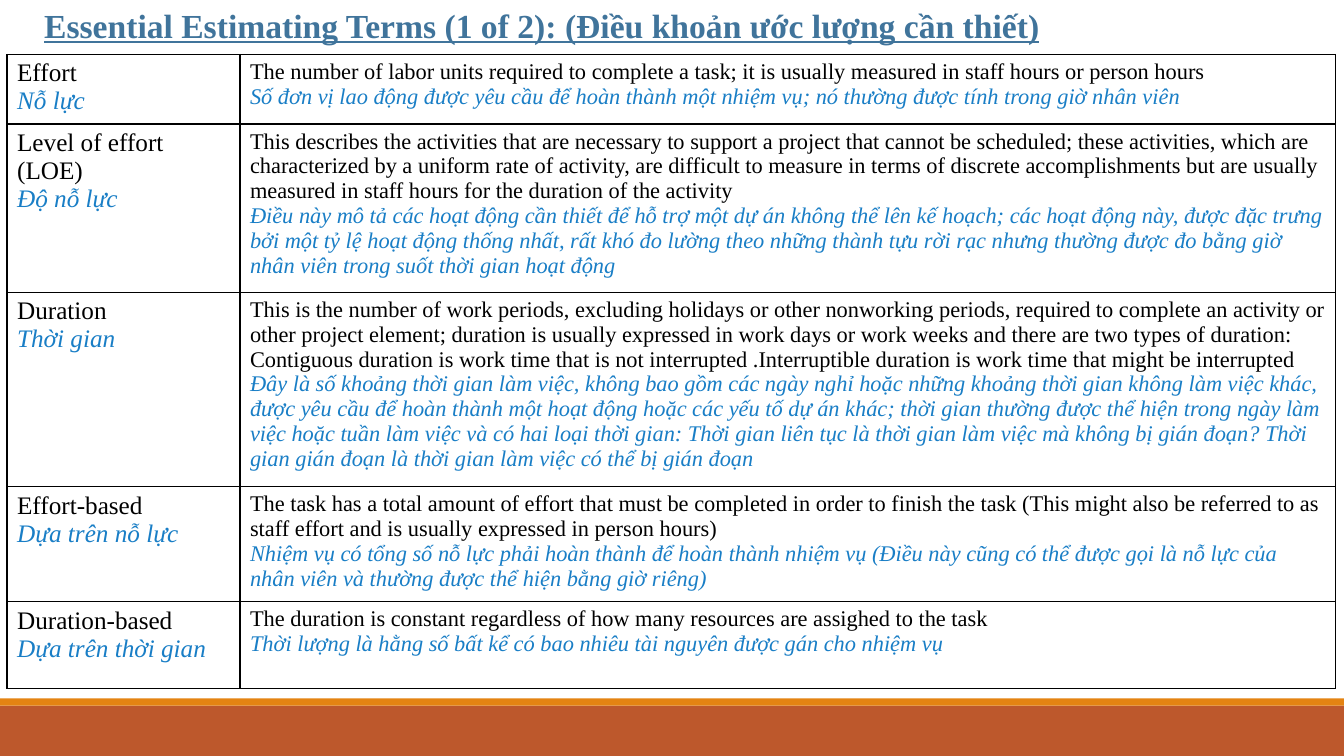
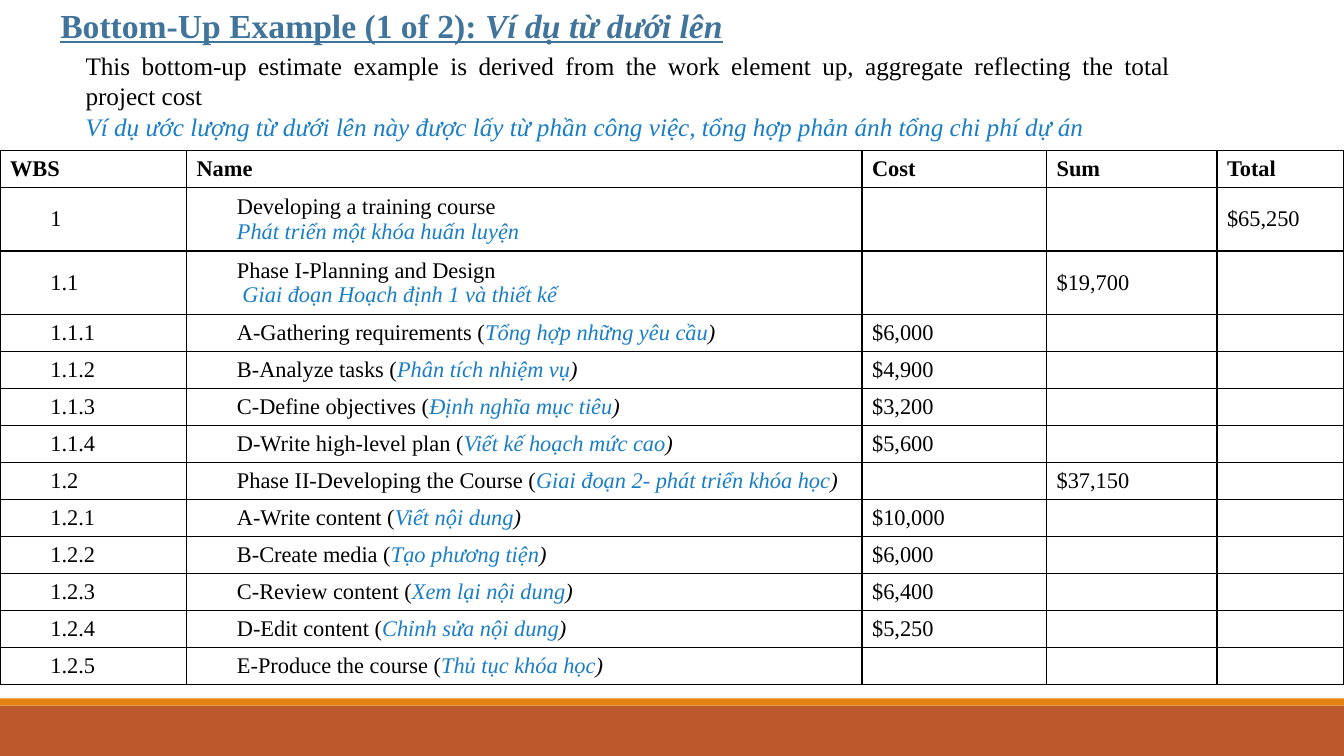
from dataclasses import dataclass
from typing import NamedTuple

from lxml.etree import SubElement as Sub, Element
from pptx import Presentation
from pptx.dml.color import RGBColor as Rgb
from pptx.enum.shapes import MSO_SHAPE as Shape
from pptx.enum.text import MSO_ANCHOR as Anchor, PP_ALIGN as Align
from pptx.oxml.ns import qn
from pptx.util import Inches, Pt

FONT = "Times New Roman"
HUES = {
    "text": "000000",
    "viet": "197EC6",
    "title": "40749B",
    "rust": "BD582C",
    "amber": "E48312",
}
WIDE, HIGH = 13.33, 7.5


class Bit(NamedTuple):
    """A piece of text in one style."""
    text: str
    hue: str = "text"
    slant: bool = False
    bold: bool = False
    under: bool = False


class Box(NamedTuple):
    left: float
    top: float
    width: float
    height: float


class Term(NamedTuple):
    name: str
    viet: str
    means: str
    gloss: str


class Task(NamedTuple):
    code: str
    name: str
    viet: str
    cost: str = ""
    sum: str = ""
    total: str = ""
    split: bool = False


Para = list[Bit]


@dataclass
class Cell:
    paras: list[Para]
    size: int = 16
    inset: float = 0.1
    anchor: Anchor = Anchor.TOP


def viet(text: str) -> Bit:
    return Bit(text, "viet", True)


def head(text: str, slant: bool = False) -> Bit:
    return Bit(text, "title", slant, True, True)


def write(frame, paras: list[Para], size: int) -> None:
    """Fill a text frame, one paragraph for each list of bits."""
    for i, bits in enumerate(paras):
        para = frame.add_paragraph() if i else frame.paragraphs[0]
        for bit in bits:
            for j, part in enumerate(bit.text.split("\n")):
                if j:
                    para.add_line_break()
                run = para.add_run()
                run.text = part
                font = run.font
                font.name, font.size = FONT, Pt(size)
                font.bold, font.italic = bit.bold, bit.slant
                font.underline = bit.under
                font.color.rgb = Rgb.from_string(HUES[bit.hue])


def label(slide, box: Box, paras: list[Para], size: int):
    frame = slide.shapes.add_textbox(*map(Inches, box)).text_frame
    frame.word_wrap = True
    write(frame, paras, size)
    return frame


def edge(cell) -> None:
    """Give a cell thin black borders."""
    props = cell._tc.get_or_add_tcPr()
    for i, side in enumerate(("lnL", "lnR", "lnT", "lnB")):
        line = Element(qn(f"a:{side}"), w=str(Pt(1)))
        fill = Sub(line, qn("a:solidFill"))
        Sub(fill, qn("a:srgbClr"), val=HUES["text"])
        props.insert(i, line)


def grid(slide, left: float, top: float, cols: list[float],
         rows: list[float], cells: list[list[Cell]]) -> None:
    box = Box(left, top, sum(cols), sum(rows))
    table = slide.shapes.add_table(len(rows), len(cols), *map(Inches, box)).table
    table.first_row = table.horz_banding = False
    for col, width in zip(table.columns, cols):
        col.width = Inches(width)
    for row, height, line in zip(table.rows, rows, cells):
        row.height = Inches(height)
        for cell, data in zip(row.cells, line):
            cell.fill.background()
            edge(cell)
            cell.margin_left = Inches(data.inset)
            cell.vertical_anchor = data.anchor
            write(cell.text_frame, data.paras, data.size)
            if not data.paras:
                # Keep an empty cell from stretching its row
                cell.margin_top = cell.margin_bottom = 0
                mark = cell.text_frame.paragraphs[0]._p
                Sub(mark, qn("a:endParaRPr"), sz=str(data.size * 100))


def start(deck):
    """Add a blank slide with the two bands at its foot."""
    slide = deck.slides.add_slide(deck.slide_layouts[6])
    for top, height, hue in ((7, 0.5, "rust"), (6.93, 0.07, "amber")):
        box = Box(0, top, WIDE, height)
        band = slide.shapes.add_shape(Shape.RECTANGLE, *map(Inches, box))
        band.shadow.inherit = False
        band.fill.solid()
        band.fill.fore_color.rgb = Rgb.from_string(HUES[hue])
        band.line.fill.background()
    return slide


def title(slide, left: float, width: float, bits: Para) -> None:
    label(slide, Box(left, 0, width, 0.91), [bits], 24)


TERMS = [
    Term("Effort", "Nỗ lực",
         "The number of labor units required to complete a task; it is usually "
         "measured in staff hours or person hours",
         "Số đơn vị lao động được yêu cầu để hoàn thành một nhiệm vụ; nó thường "
         "được tính trong giờ nhân viên"),
    Term("Level of effort\n(LOE)", "Độ nỗ lực",
         "This describes the activities that are necessary to support a project "
         "that cannot be scheduled; these activities, which are characterized by "
         "a uniform rate of activity, are difficult to measure in terms of "
         "discrete accomplishments but are usually measured in staff hours for "
         "the duration of the activity",
         "Điều này mô tả các hoạt động cần thiết để hỗ trợ một dự án không thể "
         "lên kế hoạch; các hoạt động này, được đặc trưng bởi một tỷ lệ hoạt động "
         "thống nhất, rất khó đo lường theo những thành tựu rời rạc nhưng thường "
         "được đo bằng giờ nhân viên trong suốt thời gian hoạt động"),
    Term("Duration", "Thời gian",
         "This is the number of work periods, excluding holidays or other "
         "nonworking periods, required to complete an activity or other project "
         "element; duration is usually expressed in work days or work weeks and "
         "there are two types of duration: Contiguous duration is work time that "
         "is not interrupted .Interruptible duration is work time that might be "
         "interrupted",
         "Đây là số khoảng thời gian làm việc, không bao gồm các ngày nghỉ hoặc "
         "những khoảng thời gian không làm việc khác, được yêu cầu để hoàn thành "
         "một hoạt động hoặc các yếu tố dự án khác; thời gian thường được thể "
         "hiện trong ngày làm việc hoặc tuần làm việc và có hai loại thời gian: "
         "Thời gian liên tục là thời gian làm việc mà không bị gián đoạn? Thời "
         "gian gián đoạn là thời gian làm việc có thể bị gián đoạn"),
    Term("Effort-based", "Dựa trên nỗ lực",
         "The task has a total amount of effort that must be completed in order "
         "to finish the task (This might also be referred to as staff effort and "
         "is usually expressed in person hours)",
         "Nhiệm vụ có tổng số nỗ lực phải hoàn thành để hoàn thành nhiệm vụ (Điều "
         "này cũng có thể được gọi là nỗ lực của nhân viên và thường được thể "
         "hiện bằng giờ riêng)"),
    Term("Duration-based", "Dựa trên thời gian",
         "The duration is constant regardless of how many resources are assighed "
         "to the task",
         "Thời lượng là hằng số bất kể có bao nhiêu tài nguyên được gán cho "
         "nhiệm vụ"),
]

TASKS = [
    Task("1", "Developing a training course", "Phát triển một khóa huấn luyện",
         total="$65,250", split=True),
    Task("1.1", "Phase I-Planning and Design",
         " Giai đoạn Hoạch định 1 và thiết kế", sum="$19,700", split=True),
    Task("1.1.1", "A-Gathering requirements", "Tổng hợp những yêu cầu", "$6,000"),
    Task("1.1.2", "B-Analyze tasks", "Phân tích nhiệm vụ", "$4,900"),
    Task("1.1.3", "C-Define objectives", "Định nghĩa mục tiêu", "$3,200"),
    Task("1.1.4", "D-Write high-level plan", "Viết kế hoạch mức cao", "$5,600"),
    Task("1.2", "Phase II-Developing the Course",
         "Giai đoạn 2- phát triển khóa học", sum="$37,150"),
    Task("1.2.1", "A-Write content", "Viết nội dung", "$10,000"),
    Task("1.2.2", "B-Create media", "Tạo phương tiện", "$6,000"),
    Task("1.2.3", "C-Review content", "Xem lại nội dung", "$6,400"),
    Task("1.2.4", "D-Edit content", "Chỉnh sửa nội dung", "$5,250"),
    Task("1.2.5", "E-Produce the course", "Thủ tục khóa học"),
]


def terms(deck) -> None:
    """Glossary of estimating terms."""
    slide = start(deck)
    cells = [[Cell([[Bit(t.name)], [viet(t.viet)]], 18),
              Cell([[Bit(t.means)], [viet(t.gloss)]])] for t in TERMS]
    grid(slide, 0.07, 0.54, [2.31, 10.87], [0.69, 1.67, 1.93, 1.14, 0.86], cells)
    title(slide, 0.34, 11.37, [
        head("Essential Estimating Terms (1 of 2): (Điều khoản ước lượng cần thiết)")])


def line(task: Task) -> list[Cell]:
    """One row of the cost table."""
    if task.split:
        name = [[Bit(task.name)], [viet(task.viet)]]
    else:
        name = [[Bit(f"{task.name} ("), viet(task.viet), Bit(")", slant=True)]]
    cells = [Cell(paras, inset=0.5, anchor=Anchor.MIDDLE)
             for paras in ([[Bit(task.code)]], name)]
    for cash in (task.cost, task.sum, task.total):
        cells.append(Cell([[Bit(cash)]] if cash else [], anchor=Anchor.MIDDLE))
    return cells


def costs(deck) -> None:
    """Bottom-up cost table."""
    slide = start(deck)
    heads = [Cell([[Bit(word, bold=True)]], anchor=Anchor.MIDDLE)
             for word in ("WBS", "Name", "Cost", "Sum", "Total")]
    rows = [0.34] + [0.59 if t.split else 0.34 for t in TASKS]
    grid(slide, 0, 1.49, [1.85, 6.7, 1.83, 1.69, 1.26], rows,
         [heads] + [line(t) for t in TASKS])
    title(slide, 0.5, 8.05, [head("Bottom-Up Example (1 of 2): "),
                             head("Ví dụ từ dưới lên", True)])
    intro = label(slide, Box(0.75, 0.45, 10.96, 1.01), [
        [Bit("This bottom-up estimate example is derived from the work element "
             "up, aggregate reflecting the total project cost")],
        [viet("Ví dụ ước lượng từ dưới lên này được lấy từ phần công việc, tổng "
              "hợp phản ánh tổng chi phí dự án")]], 18)
    for para in intro.paragraphs:
        para.alignment = Align.JUSTIFY


def main() -> None:
    deck = Presentation()
    deck.slide_width, deck.slide_height = Inches(WIDE), Inches(HIGH)
    terms(deck)
    costs(deck)
    deck.save("out.pptx")


if __name__ == "__main__":
    main()
